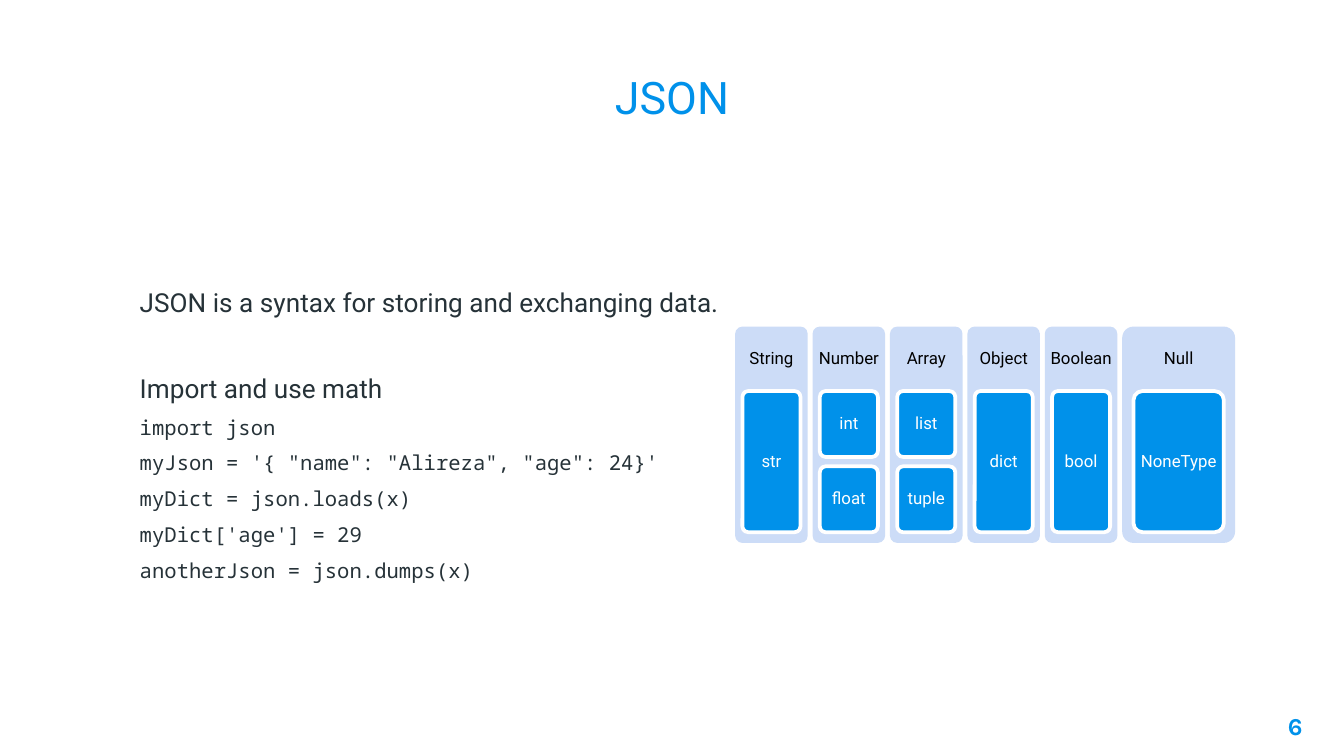
from pptx import Presentation
from pptx.dml.color import RGBColor
from pptx.enum.shapes import MSO_SHAPE as Shape
from pptx.enum.text import MSO_ANCHOR as Anchor, PP_ALIGN as Align
from pptx.util import Inches, Pt

BLUE = RGBColor(0x00, 0x91, 0xEA)
PALE = RGBColor(0xCC, 0xDC, 0xF7)
INK = RGBColor(0x26, 0x32, 0x38)
BLACK = RGBColor(0, 0, 0)
WHITE = RGBColor(255, 255, 255)
SANS, MONO = "Roboto", "Noto Sans Mono"

# Content: (text, font, size, space before)
BODY = [
    ("JSON is a syntax for storing and exchanging data.", SANS, 14, 6),
    ("Import and use math", SANS, 14, 28.8),
    ("import json", MONO, 11, 6),
    ("myJson = '{ \"name\": \"Alireza\", \"age\": 24}'", MONO, 11, 6),
    ("myDict = json.loads(x)", MONO, 11, 6),
    ("myDict['age'] = 29", MONO, 11, 6),
    ("anotherJson = json.dumps(x)", MONO, 11, 6),
]
# JSON type, matching Python types, card width
TYPES = [
    ("String", ["str"], 0.54),
    ("Number", ["int", "float"], 0.54),
    ("Array", ["list", "tuple"], 0.54),
    ("Object", ["dict"], 0.54),
    ("Boolean", ["bool"], 0.54),
    ("Null", ["NoneType"], 0.84),
]

# Widescreen slide, 16:9
deck = Presentation()
deck.slide_width, deck.slide_height = Inches(10), Inches(10 * 9 / 16)
slide = deck.slides.add_slide(deck.slide_layouts[6])


def write(shape, lines, color, align=Align.LEFT, anchor=Anchor.MIDDLE,
          inset=0.1, wrap=True, bold=False, spacing=None):
    frame = shape.text_frame
    frame.word_wrap, frame.vertical_anchor = wrap, anchor
    frame.margin_left = frame.margin_right = Inches(inset)
    frame.margin_top = frame.margin_bottom = Inches(min(inset, 0.1))
    for i, (text, font, size, before) in enumerate(lines):
        line = frame.add_paragraph() if i else frame.paragraphs[0]
        line.text, line.alignment = text, align
        line.space_before, line.line_spacing = Pt(before), spacing
        line.font.name, line.font.size = font, Pt(size)
        line.font.color.rgb, line.font.bold = color, bold


def textbox(left, top, width, height):
    return slide.shapes.add_textbox(*map(Inches, (left, top, width, height)))


def rounded(left, top, width, height, fill, outline=None):
    box = slide.shapes.add_shape(
        Shape.ROUNDED_RECTANGLE, *map(Inches, (left, top, width, height)))
    box.adjustments[0] = 0.1
    box.shadow.inherit = False
    box.fill.solid()
    box.fill.fore_color.rgb = fill
    if outline is None:
        box.line.fill.background()
    else:
        box.line.color.rgb, box.line.width = outline, Pt(2)
    return box


def label(shape, text, color):
    write(shape, [(text, SANS, 9, 0)], color, Align.CENTER,
          inset=0.03, wrap=False, spacing=0.9)


# Title, body and page number
write(textbox(0.86, 0.34, 8.28, 0.76), [("JSON", SANS, 24, 0)], BLUE, Align.CENTER)
write(textbox(0.86, 1.25, 8.28, 3.97), BODY, INK, inset=0.18)
write(textbox(9.19, 5.19, 0.6, 0.43), [("6", "Karla", 13, 0)], BLUE, Align.RIGHT,
      Anchor.TOP, bold=True)

# Type cards, spread evenly between LEFT and RIGHT
LEFT, RIGHT, TOP, HEIGHT, HEADER = 5.47, 9.19, 2.43, 1.61, 0.48
STACK, PILL_GAP, PILL_SHARE = 1.05, 0.07, 0.8
card_gap = (RIGHT - LEFT - sum(width for *_, width in TYPES)) / (len(TYPES) - 1)
left = LEFT
for json_type, python_types, width in TYPES:
    rounded(left, TOP, width, HEIGHT, PALE)
    label(textbox(left, TOP, width, HEADER), json_type, BLACK)
    count = len(python_types)
    pill_width = width * PILL_SHARE
    pill_height = (STACK - PILL_GAP * (count - 1)) / count
    for row, python_type in enumerate(python_types):
        pill = rounded(left + (width - pill_width) / 2,
                       TOP + HEADER + row * (pill_height + PILL_GAP),
                       pill_width, pill_height, BLUE, WHITE)
        label(pill, python_type, WHITE)
    left += width + card_gap

deck.save("out.pptx")
